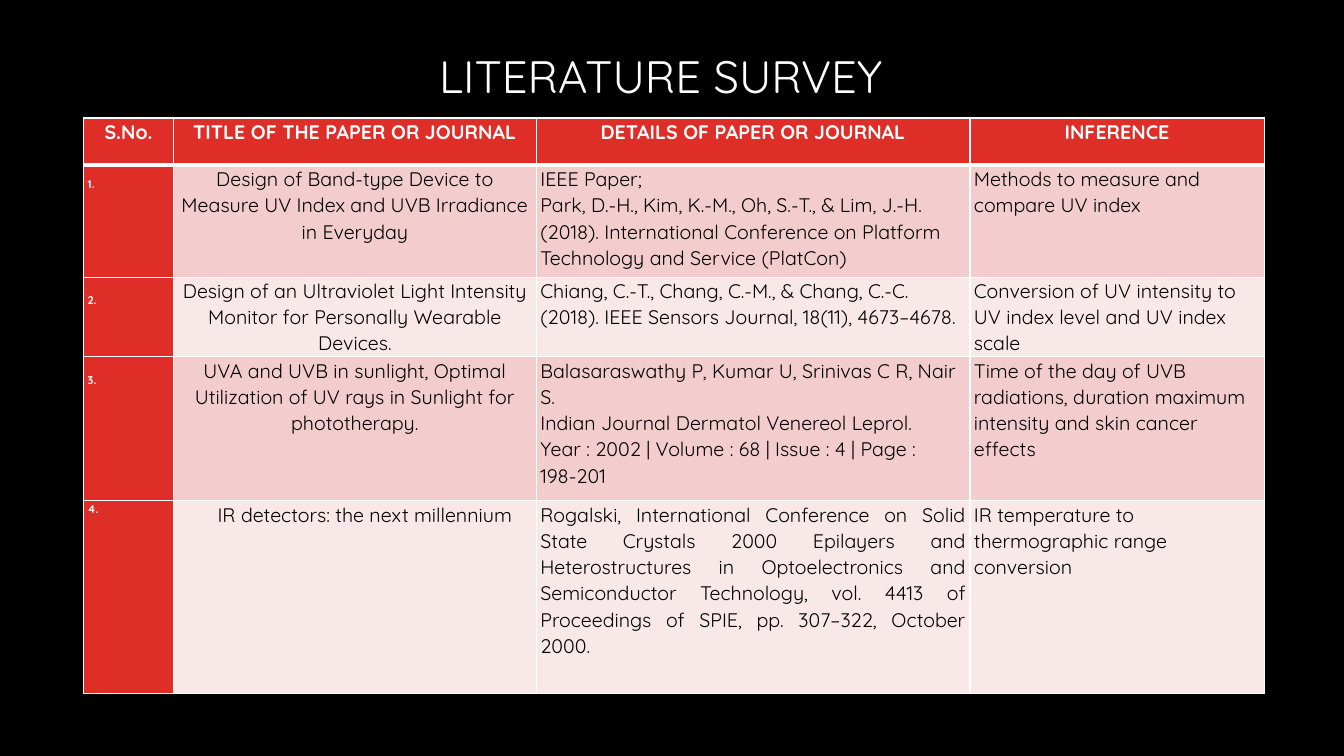
import pptx
import pptx.util
import pptx.dml.color
import pptx.enum.text
import pptx.oxml
import pptx.oxml.ns

In, Pt = pptx.util.Inches, pptx.util.Pt
ALIGN = pptx.enum.text.PP_ALIGN
FONT = "Quicksand"
COLORS = {"black": "000000", "white": "FFFFFF", "red": "DF2E28",
          "band": "F3CDCD", "pale": "F9E8E8"}
COL_WIDTHS = [0.89, 3.6, 4.3, 2.92]
ROW_HEIGHTS = [0.47, 1.11, 0.79, 1.43, 1.91]
NUMBER_TOPS = [0.11, 0.15, 0.15, 0]
HEADER = ["S.No.", "TITLE OF THE PAPER OR JOURNAL",
          "DETAILS OF PAPER OR JOURNAL", "INFERENCE"]
PAPERS = [
    ["1.", "Design of Band-type Device to Measure UV Index and UVB Irradiance in Everyday",
     "IEEE Paper;\nPark, D.-H., Kim, K.-M., Oh, S.-T., & Lim, J.-H. (2018). "
     "International Conference on Platform Technology and Service (PlatCon)",
     "Methods to measure and compare UV index"],
    ["2.", "Design of an Ultraviolet Light Intensity Monitor for Personally Wearable Devices.",
     "Chiang, C.-T., Chang, C.-M., & Chang, C.-C. (2018). "
     "IEEE Sensors Journal, 18(11), 4673–4678.",
     "Conversion of UV intensity to UV index level and UV index scale"],
    ["3.", "UVA and UVB in sunlight, Optimal Utilization of UV rays in Sunlight for phototherapy.",
     "Balasaraswathy P, Kumar U, Srinivas C R, Nair S.\n"
     "Indian Journal Dermatol Venereol Leprol.\v"
     "Year : 2002 | Volume : 68 | Issue : 4 | Page :\v198-201",
     "Time of the day of UVB radiations, duration maximum intensity and skin cancer effects"],
    ["4.", "IR detectors: the next millennium",
     "Rogalski, International Conference on Solid State Crystals 2000 Epilayers and "
     "Heterostructures in Optoelectronics and Semiconductor Technology, vol. 4413 of "
     "Proceedings of SPIE, pp. 307–322, October 2000.",
     "IR temperature to thermographic range conversion"],
]


def rgb(name):
    """Return the named colour."""
    return pptx.dml.color.RGBColor.from_string(COLORS[name])


def write(tf, text, size, color, align, bold=False, spacing=1.07):
    """Fill a text frame with evenly styled paragraphs."""
    tf.text = text
    tf.word_wrap = True
    for p in tf.paragraphs:
        p.alignment, p.line_spacing = align, spacing
        p.font.name, p.font.size, p.font.bold = FONT, Pt(size), bold
        p.font.color.rgb = rgb(color)


def add_borders(cell, bottom=1, top=1):
    """Draw white lines on the four sides of a cell."""
    tc_pr = cell._tc.get_or_add_tcPr()
    for side, width in zip("LRTB", (1, 1, top, bottom)):
        tc_pr.append(pptx.oxml.parse_xml(
            f'<a:ln{side} {pptx.oxml.ns.nsdecls("a")} w="{Pt(width)}"><a:solidFill>'
            f'<a:srgbClr val="{COLORS["white"]}"/></a:solidFill></a:ln{side}>'))


def add_title(s, x, y, w, h):
    """Place the slide title in the given box."""
    tf = s.shapes.add_textbox(In(x), In(y), In(w), In(h)).text_frame
    tf.vertical_anchor = pptx.enum.text.MSO_ANCHOR.MIDDLE
    write(tf, "LITERATURE SURVEY", 32.4, "white", ALIGN.RIGHT, spacing=0.9)


def add_survey(s, x, y):
    """Place the table of papers with its top left corner at x, y."""
    rows = [HEADER] + PAPERS
    table = s.shapes.add_table(len(rows), len(HEADER), In(x), In(y),
                               In(sum(COL_WIDTHS)), In(sum(ROW_HEIGHTS))).table
    for column, width in zip(table.columns, COL_WIDTHS):
        column.width = In(width)
    for i, texts in enumerate(rows):
        table.rows[i].height = In(ROW_HEIGHTS[i])
        for j, text in enumerate(texts):
            cell = table.cell(i, j)
            cell.margin_left = cell.margin_right = In(0.04)
            cell.margin_top = cell.margin_bottom = 0
            add_borders(cell, bottom=1 if i else 3, top=3 if i == 1 else 1)
            cell.fill.solid()
            label = i == 0 or j == 0
            cell.fill.fore_color.rgb = rgb("red" if label else "band" if i % 2 else "pale")
            align = ALIGN.CENTER if i == 0 or j == 1 else ALIGN.LEFT
            if i == len(PAPERS) and j == 2:
                align = ALIGN.JUSTIFY
            size = 8 if i and j == 0 else 14
            write(cell.text_frame, text, size, "white" if label else "black", align, label)
            if i and j == 0:
                cell.margin_top = In(NUMBER_TOPS[i - 1])
    last_title = table.cell(len(PAPERS), 1).text_frame.paragraphs[0]
    last_title._p.get_or_add_pPr().set("marL", str(In(0.2)))


def main():
    """Build the literature survey slide."""
    prs = pptx.Presentation()
    prs.slide_width, prs.slide_height = In(13.33), In(7.5)
    s = prs.slides.add_slide(prs.slide_layouts[6])
    s.background.fill.solid()
    s.background.fill.fore_color.rgb = rgb("black")
    add_title(s, 0, 0.47, 8.85, 0.62)
    add_survey(s, 0.83, 1.17)
    prs.save("out.pptx")


if __name__ == "__main__":
    main()
